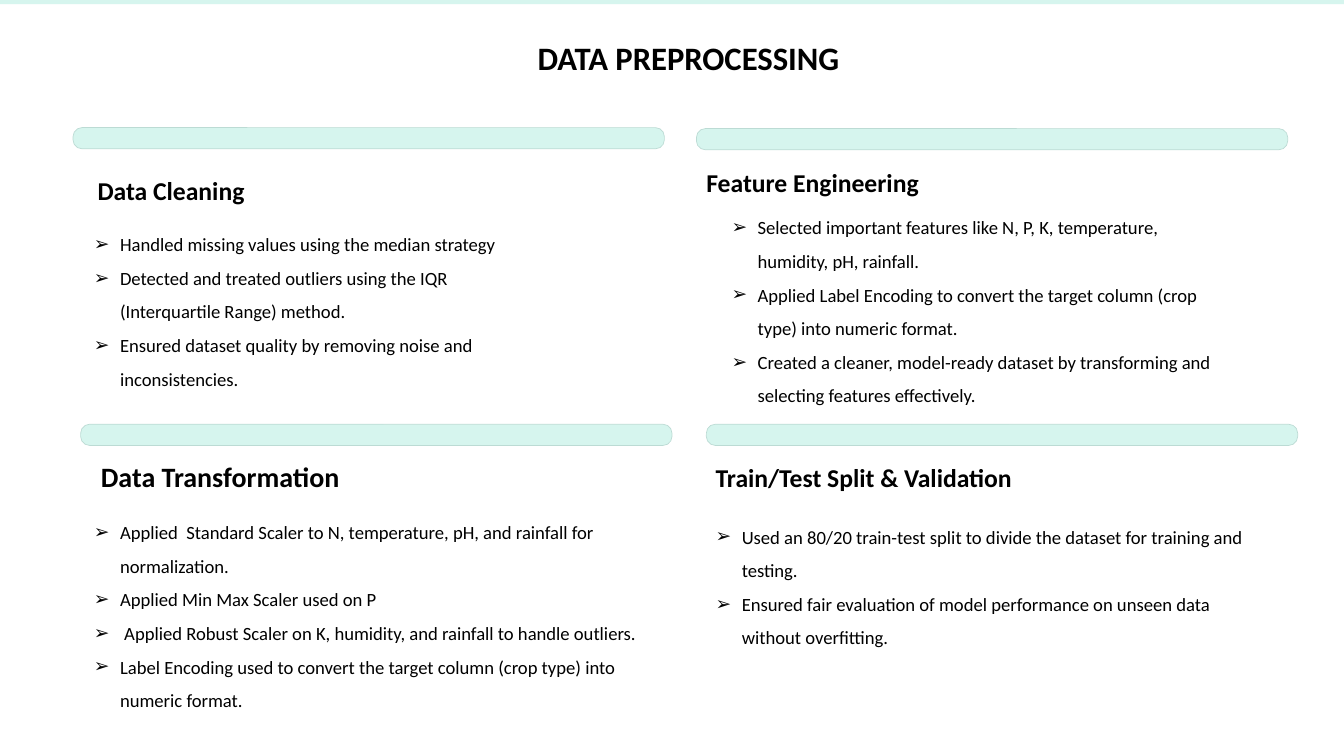
from lxml.etree import SubElement
from pptx import Presentation
from pptx.dml.color import RGBColor
from pptx.enum.shapes import MSO_SHAPE as Shape
from pptx.enum.text import MSO_ANCHOR as Anchor, MSO_AUTO_SIZE as Fit, PP_ALIGN as Align
from pptx.oxml.ns import qn
from pptx.util import Cm, Pt

BLACK = RGBColor(0x00, 0x00, 0x00)
MINT = RGBColor(0xD6, 0xF5, 0xEE)
EDGE = RGBColor(0xBC, 0xDB, 0xD4)

# Each part: bar place, heading (box, size, text), list (box, padding, items)
PARTS = [
    ((2.21, 3.86), ((2.95, 5.26, 7.87, 0.99), 22, "Data Cleaning"),
     ((2.84, 6.71, 13.72, 0.99), (0, 0), [
         "Handled missing values using the median strategy",
         "Detected and treated outliers using the IQR (Interquartile Range) method.",
         "Ensured dataset quality by removing noise and inconsistencies."])),
    ((21.06, 3.89), ((21.36, 5, 15.67, 0.99), 22, "Feature Engineering"),
     ((21.87, 6.07, 15.67, 6.3), (0.25, 0.13), [
         "Selected important features like N, P, K, temperature, humidity, pH, rainfall.",
         "Applied Label Encoding to convert the target column (crop type) into numeric format.",
         "Created a cleaner, model-ready dataset by transforming and selecting features effectively."])),
    ((2.44, 12.83), ((3.05, 13.94, 7.87, 0.99), 24, "Data Transformation"),
     ((2.84, 15.42, 16.61, 3.02), (0, 0), [
         "Applied  Standard Scaler to N, temperature, pH, and rainfall for normalization.",
         "Applied Min Max Scaler used on P",
         " Applied Robust Scaler on K, humidity, and rainfall to handle outliers.",
         "Label Encoding used to convert the target column (crop type) into numeric format."])),
    ((21.36, 12.83), ((21.64, 13.94, 13.69, 0.99), 22, "Train/Test Split & Validation"),
     ((21.39, 15.42, 17.3, 5.28), (0.25, 0.13), [
         "Used an 80/20 train-test split to divide the dataset for training and testing.",
         "Ensured fair evaluation of model performance on unseen data without overfitting."])),
]


class Page:
    font = "Calibri"

    def __init__(self, slide):
        self.slide = slide

    def place(self, shape, box):
        shape.left, shape.top, shape.width, shape.height = map(Cm, box)

    def frame(self, shape, wrap, pad=(0, 0)):
        frame = shape.text_frame
        frame.auto_size = Fit.NONE
        frame.word_wrap = wrap
        frame.vertical_anchor = Anchor.TOP
        frame.margin_left = frame.margin_right = Cm(pad[0])
        frame.margin_top = frame.margin_bottom = Cm(pad[1])
        return frame

    def style(self, para, size, bold, space):
        para.alignment = Align.LEFT
        para.line_spacing = space
        para.space_before = Pt(0)
        for run in para.runs:
            run.font.name = self.font
            run.font.size = Pt(size)
            run.font.bold = bold
            run.font.color.rgb = BLACK

    def bar(self, kind, box, edge=None):
        bar = self.slide.shapes.add_shape(kind, *map(Cm, box))
        bar.shadow.inherit = False
        bar.fill.solid()
        bar.fill.fore_color.rgb = MINT
        if edge:
            bar.adjustments[0] = 0.42
            bar.line.color.rgb = edge
            bar.line.width = Pt(0.6)
        else:
            bar.line.fill.background()

    def line(self, shape, text, size, space):
        frame = self.frame(shape, False)
        frame.text = text
        self.style(frame.paragraphs[0], size, True, Pt(space))

    def title(self, box, text):
        shape = self.slide.shapes.title
        self.place(shape, box)
        self.line(shape, text, 28, 55.5)

    def head(self, box, size, text):
        shape = self.slide.shapes.add_textbox(*map(Cm, box))
        self.line(shape, text, size, 27.5)

    def list(self, shape, box, pad, items):
        self.place(shape, box)
        frame = self.frame(shape, True, pad)
        frame.text = "\n".join(items)
        for para in frame.paragraphs:
            props = para._p.get_or_add_pPr()
            props.set("marL", str(Cm(0.79)))
            props.set("indent", str(-Cm(0.79)))
            SubElement(props, qn("a:buChar")).set("char", "➢")
            self.style(para, 16, False, 1.5)


def main():
    deck = Presentation()
    deck.slide_width, deck.slide_height = Cm(40.64), Cm(22.86)
    # The comparison layout has a title and four body placeholders
    slide = deck.slides.add_slide(deck.slide_layouts[4])
    page = Page(slide)

    # Top strip and title
    page.bar(Shape.RECTANGLE, (0, 0, 40.64, 0.13))
    page.title((16.26, 0.36, 10.8, 1.98), "DATA PREPROCESSING")

    # Four parts
    bodies = [s for s in slide.placeholders if s.placeholder_format.idx > 0]
    for body, (spot, head, points) in zip(bodies, PARTS):
        page.bar(Shape.ROUNDED_RECTANGLE, (*spot, 17.88, 0.64), EDGE)
        page.head(*head)
        page.list(body, *points)

    deck.save("out.pptx")


if __name__ == "__main__":
    main()
